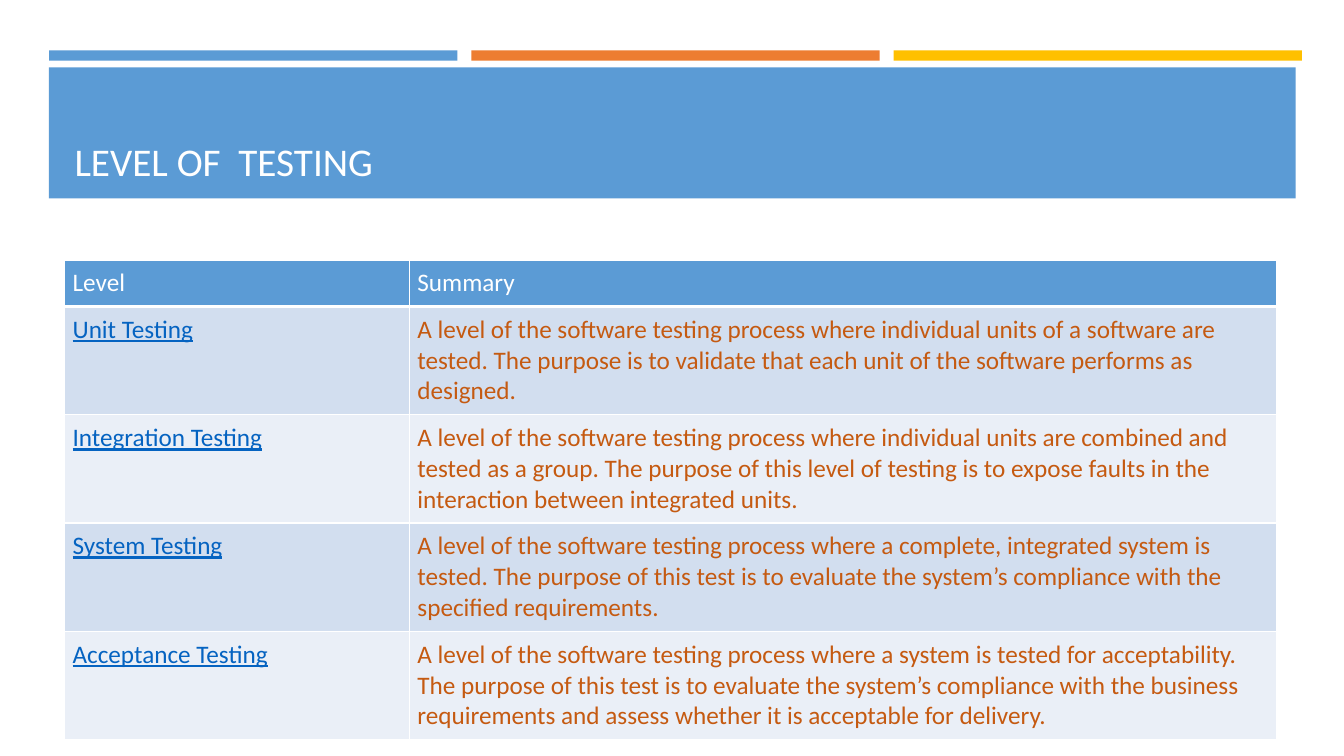
from dataclasses import dataclass

from lxml import etree
from pptx import Presentation
from pptx import util as u
from pptx.dml.color import RGBColor
from pptx.enum import shapes, text
from pptx.oxml import ns


@dataclass(frozen=True)
class Theme:
    font: str = "Calibri"
    title_size: int = 28
    table_size: int = 18
    white: str = "FFFFFF"
    blue: str = "5B9BD5"
    orange: str = "ED7D31"
    gold: str = "FFC000"
    level_name: str = "0563C1"
    summary: str = "C55A11"
    row_fills: tuple[str, str] = ("D2DEEF", "EAEFF7")


@dataclass(frozen=True)
class Box:
    """A rectangle in centimetres."""
    left: float
    top: float
    width: float
    height: float

    def lengths(self) -> tuple[u.Length, ...]:
        return tuple(u.Cm(n) for n in (self.left, self.top, self.width, self.height))


@dataclass(frozen=True)
class Level:
    name: str
    summary: str


THEME = Theme()
STRIPE = Box(1.24, 1.27, 10.29, 0.26)
STRIPE_PITCH = 10.64
BAND = Box(1.23, 1.7, 31.42, 3.3)
TITLE = Box(1.63, 1.96, 30.63, 2.82)
COLUMN_WIDTHS = (8.69, 21.84)
HEADER_HEIGHT = 1.17
ROW_HEIGHT = 2.73
CELL_MARGIN = u.Cm(0.2)

LEVELS = (
    Level("Unit Testing",
          "A level of the software testing process where individual units of a software "
          "are tested. The purpose is to validate that each unit of the software performs "
          "as designed."),
    Level("Integration Testing",
          "A level of the software testing process where individual units are combined and "
          "tested as a group. The purpose of this level of testing is to expose faults in "
          "the interaction between integrated units."),
    Level("System Testing",
          "A level of the software testing process where a complete, integrated system is "
          "tested. The purpose of this test is to evaluate the system’s compliance with the "
          "specified requirements."),
    Level("Acceptance Testing",
          "A level of the software testing process where a system is tested for "
          "acceptability. The purpose of this test is to evaluate the system’s compliance "
          "with the business requirements and assess whether it is acceptable for delivery."),
)


def add_run(paragraph, words: str, size: int, color: str, underline: bool = False) -> None:
    run = paragraph.add_run()
    run.text = words
    run.font.name = THEME.font
    run.font.size = u.Pt(size)
    run.font.bold = False
    run.font.underline = underline
    run.font.color.rgb = RGBColor.from_string(color)


def add_block(slide, box: Box, color: str) -> None:
    block = slide.shapes.add_shape(shapes.MSO_SHAPE.RECTANGLE, *box.lengths())
    block.shadow.inherit = False
    block.fill.solid()
    block.fill.fore_color.rgb = RGBColor.from_string(color)
    block.line.fill.background()


def add_title(slide, words: str) -> None:
    frame = slide.shapes.add_textbox(*TITLE.lengths()).text_frame
    frame.word_wrap = True
    frame.vertical_anchor = text.MSO_ANCHOR.BOTTOM
    add_run(frame.paragraphs[0], words, THEME.title_size, THEME.white)


def add_borders(cell, bottom_points: int) -> None:
    """Draw white cell edges; must run before the cell gets its fill."""
    properties = cell._tc.get_or_add_tcPr()
    for edge, points in (("L", 1), ("R", 1), ("T", 1), ("B", bottom_points)):
        line = etree.SubElement(properties, ns.qn(f"a:ln{edge}"), w=str(u.Pt(points)))
        fill = etree.SubElement(line, ns.qn("a:solidFill"))
        etree.SubElement(fill, ns.qn("a:srgbClr"), val=THEME.white)


def fill_cell(cell, words: str, color: str, fill: str,
              underline: bool = False, bottom_points: int = 1) -> None:
    add_borders(cell, bottom_points)
    cell.fill.solid()
    cell.fill.fore_color.rgb = RGBColor.from_string(fill)
    cell.margin_left = cell.margin_right = CELL_MARGIN
    cell.margin_top = cell.margin_bottom = CELL_MARGIN
    add_run(cell.text_frame.paragraphs[0], words, THEME.table_size, color, underline)


def add_level_table(slide) -> None:
    box = Box(1.63, 6.55, sum(COLUMN_WIDTHS), HEADER_HEIGHT + ROW_HEIGHT * len(LEVELS))
    table = slide.shapes.add_table(len(LEVELS) + 1, len(COLUMN_WIDTHS), *box.lengths()).table
    for column, width in zip(table.columns, COLUMN_WIDTHS):
        column.width = u.Cm(width)
    table.rows[0].height = u.Cm(HEADER_HEIGHT)
    for index, heading in enumerate(("Level", "Summary")):
        fill_cell(table.cell(0, index), heading, THEME.white, THEME.blue, bottom_points=3)
    for index, level in enumerate(LEVELS):
        row = table.rows[index + 1]
        row.height = u.Cm(ROW_HEIGHT)
        fill = THEME.row_fills[index % 2]
        fill_cell(row.cells[0], level.name, THEME.level_name, fill, underline=True)
        fill_cell(row.cells[1], level.summary, THEME.summary, fill)


def main() -> None:
    presentation = Presentation()
    presentation.slide_width = u.Cm(33.87)
    presentation.slide_height = u.Cm(19.05)
    slide = presentation.slides.add_slide(presentation.slide_layouts[6])
    for index, color in enumerate((THEME.blue, THEME.orange, THEME.gold)):
        left = STRIPE.left + index * STRIPE_PITCH
        add_block(slide, Box(left, STRIPE.top, STRIPE.width, STRIPE.height), color)
    add_block(slide, BAND, THEME.blue)
    add_title(slide, "LEVEL OF  TESTING")
    add_level_table(slide)
    presentation.save("out.pptx")


if __name__ == "__main__":
    main()
